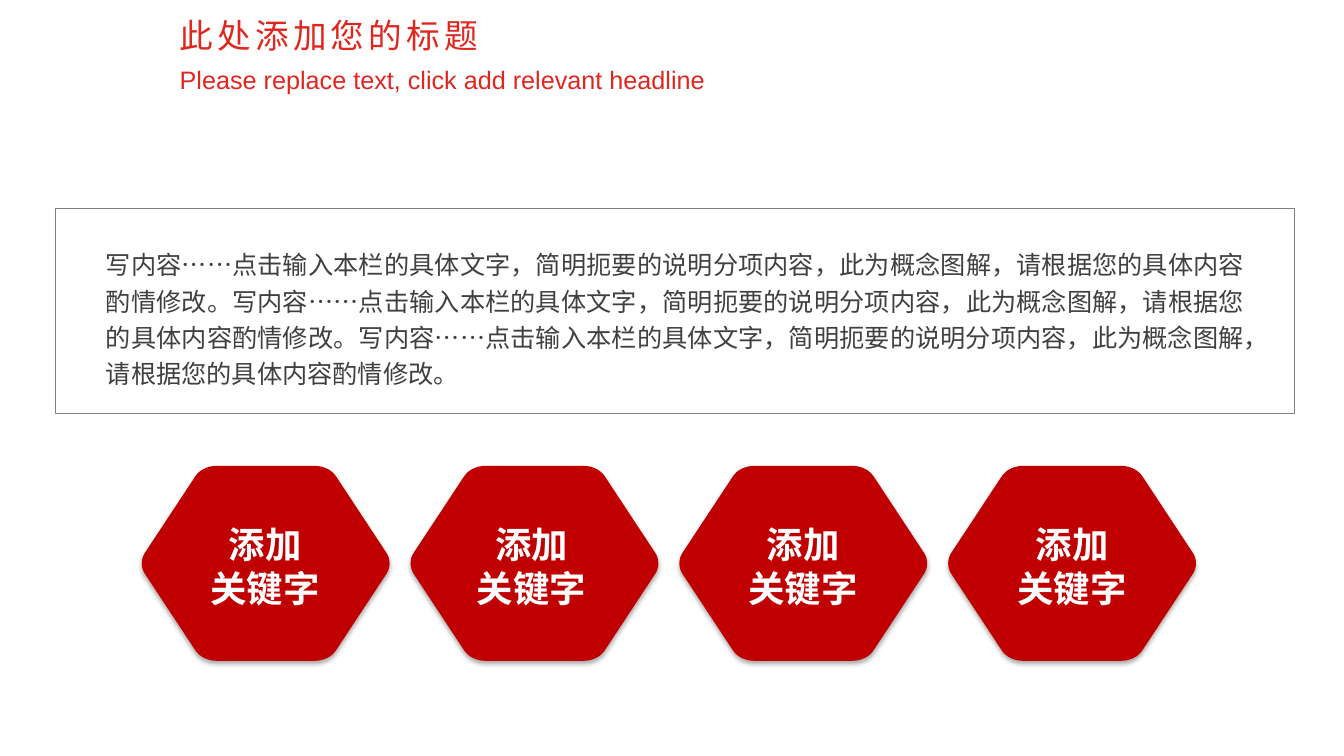
from lxml.etree import SubElement
from pptx import Presentation
from pptx.dml.color import RGBColor
from pptx.enum.shapes import MSO_SHAPE
from pptx.enum.text import MSO_ANCHOR, MSO_AUTO_SIZE, PP_ALIGN
from pptx.oxml.ns import qn
from pptx.util import Pt

COLORS = {
    "title": "DF2720",
    "body": "404040",
    "frame": "808080",
    "hexagon": "C00000",
    "label": "FFFFFF",
    "shadow": "000000",
}
BODY = (
    "写内容……点击输入本栏的具体文字，简明扼要的说明分项内容，"
    "此为概念图解，请根据您的具体内容酌情修改。"
) * 3
QUARTER_OUTLINE = [
    (35.3, -69.6),
    (38.3, -69.6), (41.6, -68.8), (44.5, -67.3),
    (47, -66), (49, -64), (50.4, -61.9),
    (86, -7.9),
    (87.6, -5.6), (88.5, -2.9), (88.5, 0),
]
HALF_SEGMENTS = "CCLCCLCC"
UNITS_PER_POINT = 100


def hexagon_outline():
    lower_quarter = [(x, -y) for x, y in reversed(QUARTER_OUTLINE[:-1])]
    right_half = QUARTER_OUTLINE + lower_quarter
    return right_half + [(-x, -y) for x, y in right_half]


class SlideBuilder:
    font_name = "Arial"

    def __init__(self, slide):
        self.slide = slide

    def color(self, name):
        return RGBColor.from_string(COLORS[name])

    def frame(self, left, top, width, height):
        shape = self.slide.shapes.add_shape(
            MSO_SHAPE.ROUNDED_RECTANGLE, Pt(left), Pt(top), Pt(width), Pt(height)
        )
        shape.adjustments[0] = 0
        shape.shadow.inherit = False
        shape.fill.background()
        shape.line.color.rgb = self.color("frame")
        shape.line.width = Pt(0.25)

    def hexagon(self, center_x, center_y):
        points = [
            (round((center_x + x) * UNITS_PER_POINT), round((center_y + y) * UNITS_PER_POINT))
            for x, y in hexagon_outline()
        ]
        builder = self.slide.shapes.build_freeform(*points[0], scale=Pt(1) / UNITS_PER_POINT)
        builder.add_line_segments(points[1:], close=True)
        shape = builder.convert_to_shape()
        self.round_corners(shape)
        shape.fill.solid()
        shape.fill.fore_color.rgb = self.color("hexagon")
        shape.line.fill.background()
        self.add_shadow(shape)

    def round_corners(self, shape):
        lines = iter(list(shape._element.iter(qn("a:lnTo"))))
        for segment in HALF_SEGMENTS + "L" + HALF_SEGMENTS:
            line = next(lines)
            if segment == "C":
                curve = line.makeelement(qn("a:cubicBezTo"))
                line.addprevious(curve)
                for control in (line, next(lines), next(lines)):
                    curve.append(control[0])
                    control.getparent().remove(control)

    def add_shadow(self, shape):
        shape.shadow.inherit = False
        effects = shape._element.spPr.find(qn("a:effectLst"))
        shadow = SubElement(
            effects, qn("a:outerShdw"), blurRad=str(Pt(3.5)), dist=str(Pt(2.2)),
            dir="5400000", algn="t", rotWithShape="0",
        )
        color = SubElement(shadow, qn("a:srgbClr"), val=COLORS["shadow"])
        SubElement(color, qn("a:alpha"), val="32000")

    def text(self, left, top, width, height, lines, size, color, bold=False,
             align=PP_ALIGN.LEFT, line_spacing=None, letter_spacing=None,
             anchor=MSO_ANCHOR.TOP, padded=False, wrap=True):
        shape = self.slide.shapes.add_textbox(Pt(left), Pt(top), Pt(width), Pt(height))
        frame = shape.text_frame
        frame.word_wrap = wrap
        frame.auto_size = MSO_AUTO_SIZE.SHAPE_TO_FIT_TEXT
        frame.vertical_anchor = anchor
        if not padded:
            frame.margin_left = frame.margin_right = 0
            frame.margin_top = frame.margin_bottom = 0
        frame.text = "\n".join(lines)
        for paragraph in frame.paragraphs:
            paragraph.alignment = align
            if line_spacing:
                paragraph.line_spacing = line_spacing
            font = paragraph.font
            font.name = self.font_name
            font.size = Pt(size)
            font.bold = bold
            font.color.rgb = self.color(color)
            if letter_spacing:
                for run in paragraph.runs:
                    run._r.get_or_add_rPr().set("spc", str(letter_spacing * 100))


def main():
    presentation = Presentation()
    presentation.slide_width = Pt(960)
    presentation.slide_height = Pt(540)
    slide = presentation.slides.add_slide(presentation.slide_layouts[6])
    builder = SlideBuilder(slide)

    builder.frame(39.6, 148.5, 885, 147)
    builder.text(75.6, 174, 813.4, 104.4, [BODY], 18, "body",
                 align=PP_ALIGN.JUSTIFY, line_spacing=1.2)

    for index, label_shift in enumerate((-0.4, -2, 0, 0)):
        center = 189.8 + 192 * index
        builder.hexagon(center, 402.4)
        builder.text(center - 58.4 + label_shift, 373, 116.8, 63, ["添加", "关键字"], 26,
                     "label", bold=True, align=PP_ALIGN.CENTER)

    builder.text(121.3, 2.7, 607.7, 38.9, ["此处添加您的标题"], 24, "title", line_spacing=1.2,
                 letter_spacing=3, anchor=MSO_ANCHOR.MIDDLE, padded=True)
    builder.text(121.3, 42.5, 393, 29, ["Please replace text, click add relevant headline"],
                 18, "title", padded=True, wrap=False)
    presentation.save("out.pptx")


if __name__ == "__main__":
    main()
